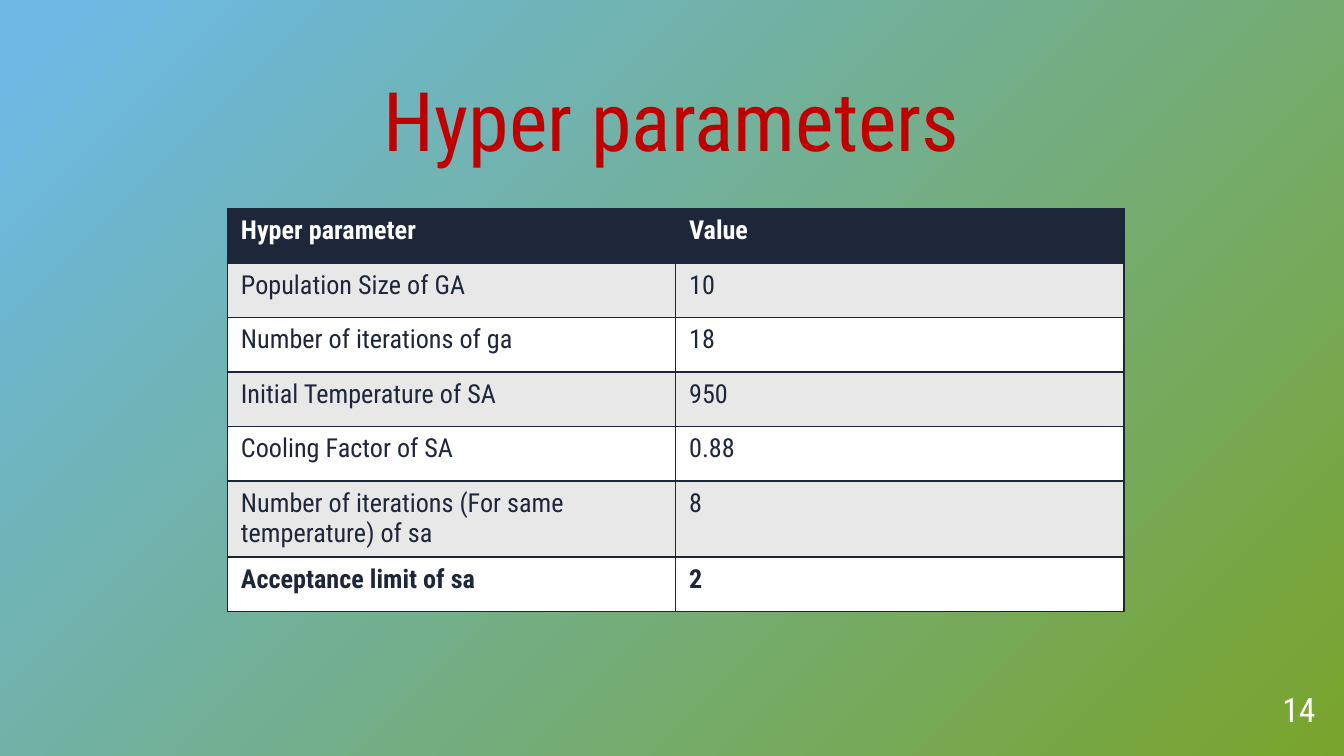
from lxml import etree
from pptx import Presentation
from pptx.dml.color import RGBColor
from pptx.enum.text import MSO_ANCHOR, PP_ALIGN
from pptx.oxml import parse_xml
from pptx.oxml.ns import nsdecls, qn
from pptx.util import Cm, Pt

BOTTOM = MSO_ANCHOR.BOTTOM
CENTER, RIGHT = PP_ALIGN.CENTER, PP_ALIGN.RIGHT
FONT = "Roboto Condensed"
NAVY, WHITE, GREY, RED = "1E263A", "FFFFFF", "E8E8E8", "C00000"
GREEN, SKY = "79A42B", "6DB9E4"
ROWS = [
    ("Hyper parameter", "Value"),
    ("Population Size of GA", "10"),
    ("Number of iterations of ga", "18"),
    ("Initial Temperature of SA", "950"),
    ("Cooling Factor of SA", "0.88"),
    ("Number of iterations (For same temperature) of sa", "8"),
    ("Acceptance limit of sa", "2"),
]


def color(value):
    """Turn a hex string into a colour."""
    return RGBColor.from_string(value)


def style_span(span, size, ink, bold=False):
    """Set the font of one run."""
    span.font.name = FONT
    span.font.size = Pt(size)
    span.font.bold = bold
    span.font.color.rgb = color(ink)


def paint_background(page):
    """Fill the page with a gradient radiating from its lower right corner."""
    fill = page.background.fill
    fill.gradient()
    for stop, position, value in zip(fill.gradient_stops, (0, 0.96), (GREEN, SKY)):
        stop.position = position
        stop.color.rgb = color(value)
    gradient = page.element.find(".//" + qn("a:gradFill"))
    gradient.replace(gradient.find(qn("a:lin")), parse_xml(
        f'<a:path {nsdecls("a")} path="circle">'
        '<a:fillToRect l="100000" t="100000"/></a:path>'))


def add_text(page, text, place, size, ink, align):
    """Add a bottom-anchored line of text and return its run."""
    box = page.shapes.add_textbox(*(Cm(length) for length in place))
    frame = box.text_frame
    frame.text = text
    frame.word_wrap = True
    frame.vertical_anchor = BOTTOM
    frame.margin_left = frame.margin_right = 0
    frame.margin_top = frame.margin_bottom = 0
    para = frame.paragraphs[0]
    para.alignment = align
    para.line_spacing = 0.9
    span = para.runs[0]
    style_span(span, size, ink)
    return span


def add_text_shadow(span):
    """Cast a soft shadow below the letters of a run."""
    fill = span.font._element.find(qn("a:solidFill"))
    fill.addnext(parse_xml(
        f'<a:effectLst {nsdecls("a")}>'
        '<a:outerShdw blurRad="38100" dist="38100" dir="2700000" algn="tl">'
        '<a:srgbClr val="000000"><a:alpha val="43000"/></a:srgbClr>'
        '</a:outerShdw></a:effectLst>'))


def add_borders(cell, ink):
    """Draw a thin line on all four sides of a cell."""
    properties = cell._tc.get_or_add_tcPr()
    for index, side in enumerate(("lnL", "lnR", "lnT", "lnB")):
        line = etree.Element(qn(f"a:{side}"), w=str(Pt(1)))
        fill = etree.SubElement(line, qn("a:solidFill"))
        etree.SubElement(fill, qn("a:srgbClr"), val=ink)
        properties.insert(index, line)


def style_cell(cell, text, back, ink, bold):
    """Write and format one table cell."""
    cell.text = text
    style_span(cell.text_frame.paragraphs[0].runs[0], 14, ink, bold)
    cell.fill.solid()
    cell.fill.fore_color.rgb = color(back)
    add_borders(cell, NAVY)


def add_parameter_table(page):
    """Add the table with a dark header, banded rows and a bold last row."""
    last = len(ROWS) - 1
    table = page.shapes.add_table(
        len(ROWS), 2, Cm(4.3), Cm(3.94), Cm(16.94), Cm(7.21)).table
    for index, values in enumerate(ROWS):
        table.rows[index].height = Cm(1.03)
        back = NAVY if index == 0 else GREY if index % 2 else WHITE
        ink = WHITE if index == 0 else NAVY
        for column, text in enumerate(values):
            style_cell(table.cell(index, column), text, back, ink, index in (0, last))


def main():
    """Build the slide and save it."""
    deck = Presentation()
    deck.slide_width, deck.slide_height = Cm(25.4), Cm(14.29)
    page = deck.slides.add_slide(deck.slide_layouts[6])
    paint_background(page)
    title = add_text(page, "Hyper parameters", (2.16, 1.14, 21.08, 2.06), 44, RED, CENTER)
    add_text_shadow(title)
    add_text(page, "14", (23.34, 12.9, 1.52, 0.89), 18, WHITE, RIGHT)
    add_parameter_table(page)
    deck.save("out.pptx")


if __name__ == "__main__":
    main()
